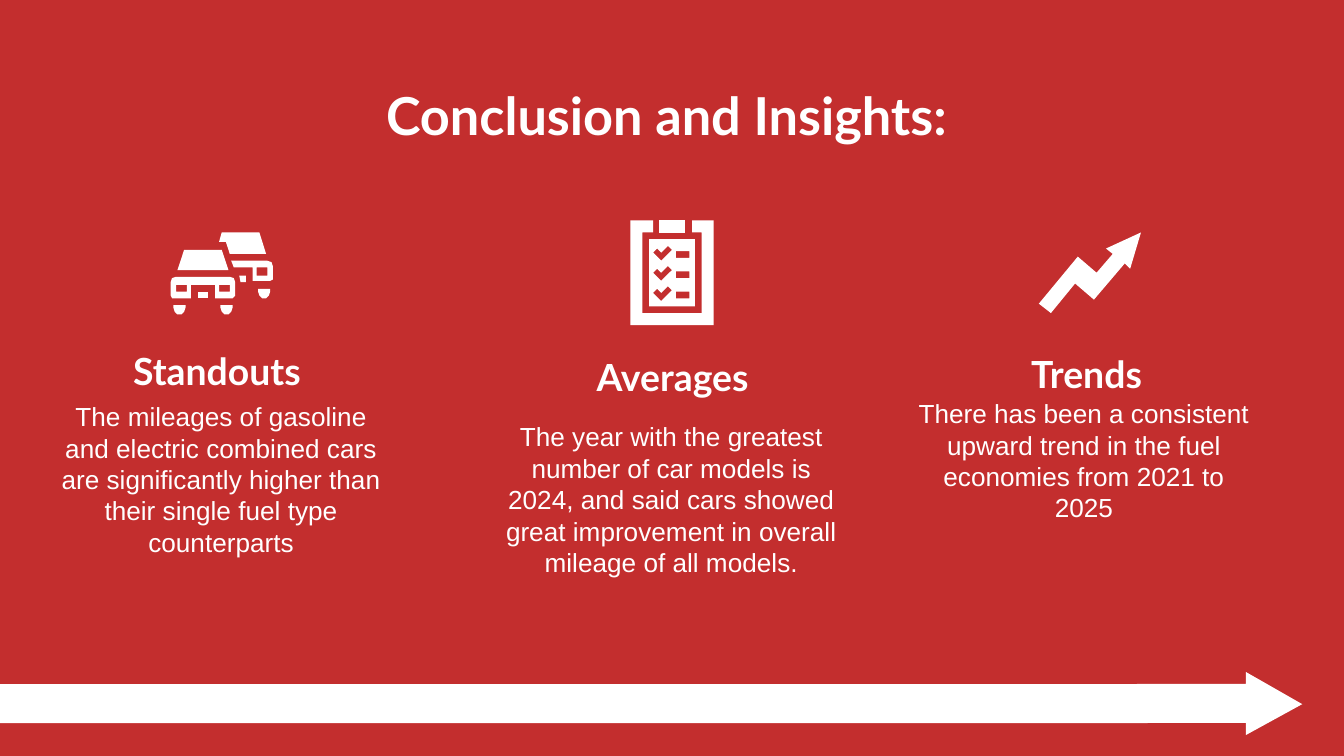
from pptx import Presentation
from pptx.dml.color import RGBColor
from pptx.enum import shapes, text
from pptx.util import Inches, Pt

RED, WHITE = "C32E2E", "FFFFFF"

# Text: words, box (left, top, width, height), style
HEAD = dict(name="Lato", size=Pt(20), bold=True)
BODY = dict(name="Arial", size=Pt(14), bold=False)
TEXTS = [
    ("Conclusion and Insights: ", (0.79, 0.59, 8.43, 0.52), dict(HEAD, size=Pt(28))),
    ("Standouts", (0.55, 2.47, 2.13, 0.58), HEAD),
    ("The mileages of gasoline and electric combined cars are significantly "
     "higher than their single fuel type counterparts", (0.3, 3.38, 2.69, 0.37), BODY),
    ("Averages", (3.94, 2.51, 2.13, 0.58), HEAD),
    ("The year with the greatest number of car models is 2024, and said cars "
     "showed great improvement in overall mileage of all models.",
     (3.65, 3.43, 2.69, 0.57), BODY),
    ("Trends", (7.02, 2.49, 2.13, 0.58), HEAD),
    ("There has been a consistent upward trend in the fuel economies from "
     "2021 to 2025", (6.72, 3.14, 2.69, 0.57), BODY),
]


def box(x, y, w, h):
    return [(x, y), (x + w, y), (x + w, y + h), (x, y + h)]


def wheel(x, y):
    curve = [(0, 0), (0, 0.02), (0.01, 0.05), (0.03, 0.07),
             (0.06, 0.07), (0.08, 0.05), (0.09, 0.02), (0.09, 0)]
    return [(x + a, y + b) for a, b in curve]


def tick(y):
    return [(4.97, y), (5, y + 0.03), (4.92, y + 0.11), (4.86, y + 0.05),
            (4.89, y + 0.02), (4.92, y + 0.05)]


# Outlines: each icon part is a list of contours, inner ones cut holes
ARROW = [[(8.46, 5.38), (9.27, 5.38), (9.27, 5.47), (9.69, 5.24),
          (9.27, 5), (9.27, 5.09), (8.46, 5.09)]]
TREND = [[(8.49, 1.73), (8.23, 1.85), (8.28, 1.89), (8.16, 2.03), (8.02, 1.91),
          (7.73, 2.26), (7.82, 2.33), (8, 2.11), (8.14, 2.23), (8.37, 1.96),
          (8.41, 2)]]
CARS = [
    [[(1.65, 1.73), (1.63, 1.8), (1.68, 1.8), (1.71, 1.89), (1.98, 1.89), (1.93, 1.73)]],
    [[(1.37, 1.86), (1.32, 2.01), (1.7, 2.01), (1.65, 1.86)]],
    [box(1.47, 2.17, 0.08, 0.05)],
    [[(1.31, 2.06), (1.28, 2.07), (1.27, 2.1), (1.27, 2.2), (1.28, 2.22),
      (1.42, 2.22), (1.42, 2.12), (1.6, 2.12), (1.6, 2.22), (1.73, 2.22),
      (1.75, 2.2), (1.75, 2.1), (1.74, 2.07), (1.71, 2.06)],
     box(1.31, 2.12, 0.08, 0.05), box(1.63, 2.12, 0.08, 0.05)],
    [[(1.78, 2.05), (1.79, 2.1), (1.83, 2.1), (1.83, 2.05)]],
    [[(1.72, 1.94), (1.74, 1.99), (1.88, 1.99), (1.88, 2.09), (2.01, 2.09),
      (2.03, 2.08), (2.03, 1.98), (2.02, 1.95), (1.99, 1.94)],
     box(1.91, 1.99, 0.08, 0.06)],
] + [[wheel(x, y)] for x, y in [(1.29, 2.27), (1.64, 2.27), (1.92, 2.15)]]
ROWS = [1.83 + 0.15 * i for i in range(3)]
LIST = [
    [box(4.83, 1.78, 0.34, 0.5)] + [tick(y) for y in ROWS]
    + [box(5.03, y + 0.04, 0.1, 0.05) for y in ROWS],
    [[(4.69, 1.64), (4.69, 2.42), (5.31, 2.42), (5.31, 1.64), (5.15, 1.64),
      (5.15, 1.73), (5.22, 1.73), (5.22, 2.33), (4.78, 2.33), (4.78, 1.73),
      (4.86, 1.73), (4.86, 1.64)]],
    [box(4.9, 1.64, 0.2, 0.09)],
]


def color(code):
    return RGBColor.from_string(code)


def paint(shape):
    shape.shadow.inherit = False
    shape.fill.solid()
    shape.fill.fore_color.rgb = color(WHITE)
    shape.line.fill.background()


def draw(loops):
    pen = None
    for loop in loops:
        pts = [(Inches(x), Inches(y)) for x, y in loop]
        if pen is None:
            pen = slide.shapes.build_freeform(*pts[0])
        else:
            pen.move_to(*pts[0])
        pen.add_line_segments(pts[1:], close=True)
    paint(pen.convert_to_shape())


def write(words, place, style):
    frame = slide.shapes.add_textbox(*map(Inches, place)).text_frame
    edges = ("left", "right", "top", "bottom")
    form = {f"margin_{e}": Inches(0.1) for e in edges}
    form.update(word_wrap=True, vertical_anchor=text.MSO_ANCHOR.MIDDLE)
    for key, val in form.items():
        setattr(frame, key, val)
    par = frame.paragraphs[0]
    par.alignment = text.PP_ALIGN.CENTER
    run = par.add_run()
    run.text = words
    for key, val in style.items():
        setattr(run.font, key, val)
    run.font.color.rgb = color(WHITE)


# Wide 16:9 slide
prs = Presentation()
prs.slide_width, prs.slide_height = Inches(10), Inches(10 * 9 / 16)
slide = prs.slides.add_slide(prs.slide_layouts[6])
slide.background.fill.solid()
slide.background.fill.fore_color.rgb = color(RED)

# Bottom arrow: head and bar
draw(ARROW)
paint(slide.shapes.add_shape(shapes.MSO_SHAPE.RECTANGLE,
                             *map(Inches, (0, 5.09, 8.54, 0.29))))

# Title, headings and texts
for item in TEXTS:
    write(*item)

# Icons
for part in [TREND] + CARS + LIST:
    draw(part)

prs.save("out.pptx")
